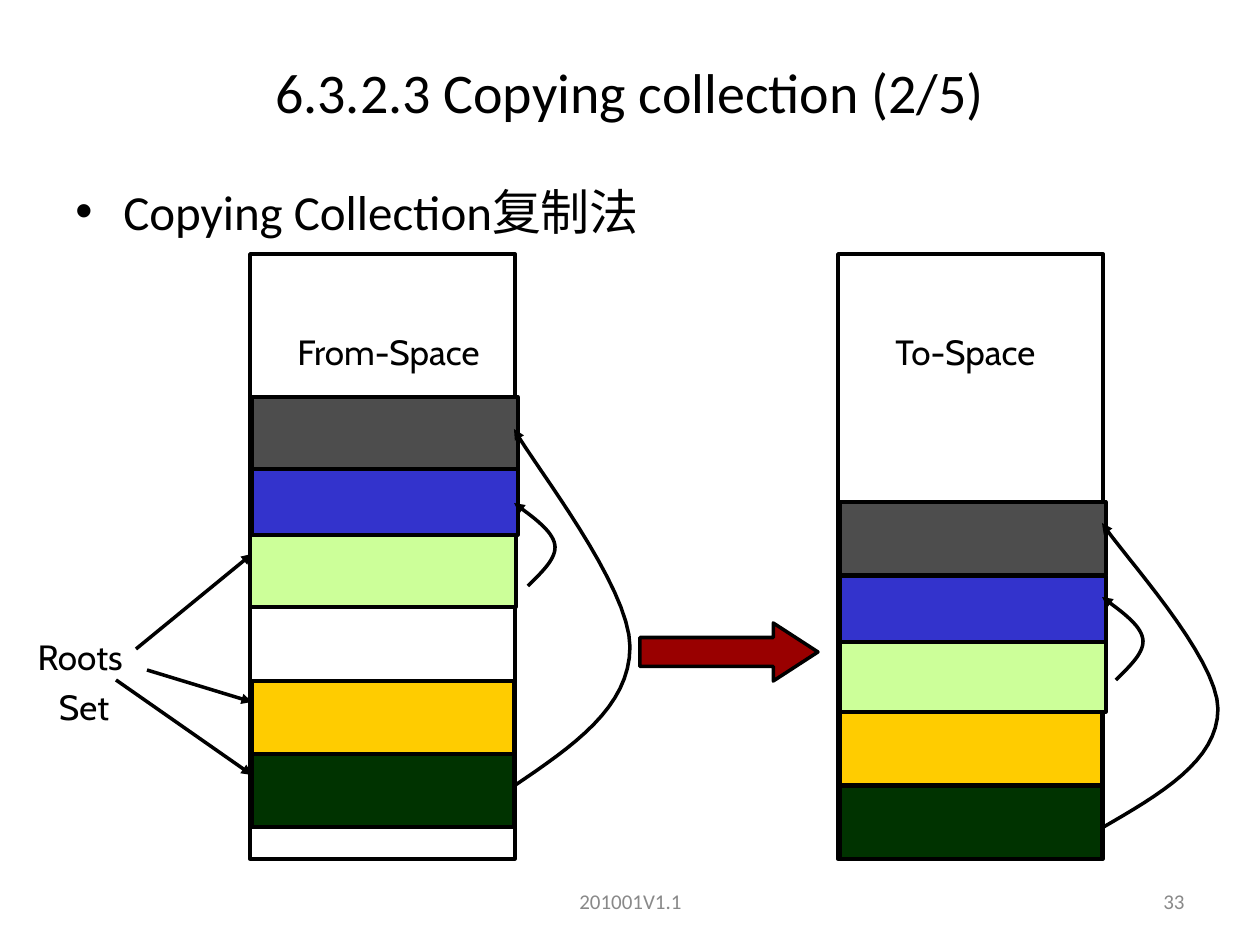
from itertools import pairwise

from lxml.etree import SubElement
from pptx import Presentation
from pptx.dml.color import RGBColor
from pptx.enum.shapes import MSO_CONNECTOR, MSO_SHAPE
from pptx.enum.text import MSO_ANCHOR, PP_ALIGN
from pptx.oxml.ns import qn
from pptx.util import Emu, Pt

EMU_PER_PIXEL = 914400 / 126
BLACK = RGBColor(0x00, 0x00, 0x00)
FOOTER_GRAY = RGBColor(0x89, 0x89, 0x89)
DARK_GREEN = RGBColor(0x00, 0x33, 0x00)
YELLOW = RGBColor(0xFF, 0xCC, 0x00)
LIGHT_GREEN = RGBColor(0xCC, 0xFF, 0x99)
BLUE = RGBColor(0x33, 0x33, 0xCC)
DARK_GRAY = RGBColor(0x4D, 0x4D, 0x4D)
DARK_RED = RGBColor(0x99, 0x00, 0x00)

LONG_CURVE = [(0, 1), (0.5, 0.89), (1, 0.78), (1, 0.61), (1, 0.44), (0.17, 0.1), (0, 0)]
SHORT_CURVE = [(0.33, 1), (0.67, 0.83), (1.03, 0.66), (0.97, 0.5), (0.91, 0.33), (0.45, 0.17), (0, 0)]


def pixels(value):
    """Turn pixels into EMU."""
    return Emu(round(value * EMU_PER_PIXEL))


def write_text(frame, text, *, size=20, font="Cabin", color=BLACK, align=PP_ALIGN.CENTER,
               anchor=MSO_ANCHOR.TOP, space_before=0):
    """Write text into a frame, one paragraph per line."""
    frame.word_wrap = True
    frame.vertical_anchor = anchor
    frame.text = text
    for paragraph in frame.paragraphs:
        paragraph.alignment = align
        paragraph.space_before = Pt(space_before)
        paragraph.font.size = Pt(size)
        paragraph.font.name = font
        paragraph.font.color.rgb = color


def bezier_point(controls, position):
    """Return the point at a position from 0 to 1 on a cubic curve."""
    rest = 1 - position
    weights = (rest**3, 3 * rest**2 * position, 3 * rest * position**2, position**3)
    return tuple(sum(weight * point[axis] for weight, point in zip(weights, controls)) for axis in (0, 1))


class Diagram:
    """Hold the line style and the current slide."""

    def __init__(self, slide, line_width=2):
        """Keep the slide and the line width in points."""
        self.slide = slide
        self.line_width = Pt(line_width)

    def title(self, text, left, top, width, height):
        """Place and fill the title placeholder."""
        shape = self.slide.shapes.title
        shape.left, shape.top, shape.width, shape.height = map(pixels, (left, top, width, height))
        write_text(shape.text_frame, text, size=32, font="Calibri", anchor=MSO_ANCHOR.MIDDLE)

    def text(self, text, left, top, width, height, **style):
        """Add a text box and return it."""
        shape = self.slide.shapes.add_textbox(*map(pixels, (left, top, width, height)))
        write_text(shape.text_frame, text, **style)
        return shape

    def bullet(self, text, left, top, width, height, indent=48):
        """Add a bulleted text box."""
        shape = self.text(text, left, top, width, height, size=28, font="Calibri",
                          align=PP_ALIGN.LEFT, space_before=7)
        for paragraph in shape.text_frame.paragraphs:
            properties = paragraph._p.get_or_add_pPr()
            properties.set("marL", str(pixels(indent)))
            properties.set("indent", str(-pixels(indent)))
            bullet_font = properties.makeelement(qn("a:buFont"), {"typeface": "Arial"})
            bullet_character = properties.makeelement(qn("a:buChar"), {"char": "•"})
            properties.find(qn("a:defRPr")).addprevious(bullet_font)
            bullet_font.addnext(bullet_character)

    def outline(self, shape):
        """Give a shape the black line."""
        shape.line.color.rgb = BLACK
        shape.line.width = self.line_width

    def arrowhead(self, shape):
        """Put a triangle at the end of a line."""
        SubElement(shape.line._get_or_add_ln(), qn("a:tailEnd"), type="triangle")

    def shape(self, left, top, width, height, fill=None, kind=MSO_SHAPE.RECTANGLE):
        """Add an outlined preset shape and return it."""
        shape = self.slide.shapes.add_shape(kind, *map(pixels, (left, top, width, height)))
        shape.shadow.inherit = False
        if fill is None:
            shape.fill.background()
        else:
            shape.fill.solid()
            shape.fill.fore_color.rgb = fill
        self.outline(shape)
        return shape

    def arrow(self, start, end):
        """Add a straight arrow."""
        connector = self.slide.shapes.add_connector(MSO_CONNECTOR.STRAIGHT, *map(pixels, (*start, *end)))
        self.outline(connector)
        self.arrowhead(connector)
        SubElement(connector._element.spPr, qn("a:effectLst"))

    def curve(self, left, top, width, height, controls, steps=16):
        """Add a curved arrow through two cubic pieces scaled to a box."""
        points = [controls[0]]
        for first, last in pairwise((0, 3, 6)):
            piece = controls[first:last + 1]
            points += [bezier_point(piece, step / steps) for step in range(1, steps + 1)]
        start, *others = [(pixels(left + x * width), pixels(top + y * height)) for x, y in points]
        builder = self.slide.shapes.build_freeform(*start)
        builder.add_line_segments(others, close=False)
        shape = builder.convert_to_shape()
        shape.shadow.inherit = False
        shape.fill.background()
        self.outline(shape)
        self.arrowhead(shape)


presentation = Presentation()
presentation.slide_width, presentation.slide_height = pixels(1260), pixels(945)
diagram = Diagram(presentation.slides.add_slide(presentation.slide_layouts[5]))

footer_style = dict(size=12, font="Calibri", color=FOOTER_GRAY, anchor=MSO_ANCHOR.MIDDLE)
diagram.text("201001V1.1", 431, 876, 399, 50, **footer_style)
diagram.text("33", 903, 876, 294, 50, align=PP_ALIGN.RIGHT, **footer_style)
diagram.title("6.3.2.3 Copying collection (2/5)", 0, 38, 1260, 107)
diagram.bullet("Copying Collection复制法", 63, 175, 1134, 669)

for space_left in (250, 838):
    diagram.shape(space_left, 254, 265, 605)

for label, left, top, width, height in [
    ("To-Space", 847, 324, 237, 55),
    ("From-Space", 242, 324, 293, 55),
    ("Roots \nSet", 0, 629, 168, 106),
]:
    diagram.text(label, left, top, width, height, space_before=5)

for start, end in [((136, 649), (252, 554)), ((147, 670), (252, 702)), ((116, 680), (252, 775))]:
    diagram.arrow(start, end)

for left, top, width, height, color in [
    (252, 754, 262, 73, DARK_GREEN),
    (252, 681, 262, 73, YELLOW),
    (250, 534, 266, 73, LIGHT_GREEN),
    (252, 397, 266, 73, DARK_GRAY),
    (252, 469, 266, 66, BLUE),
    (840, 786, 262, 73, DARK_GREEN),
    (840, 712, 262, 73, YELLOW),
    (840, 639, 266, 73, LIGHT_GREEN),
    (840, 576, 266, 66, BLUE),
    (840, 502, 266, 73, DARK_GRAY),
]:
    diagram.shape(left, top, width, height, color)

copy_arrow = diagram.shape(640, 623, 178, 58, DARK_RED, MSO_SHAPE.RIGHT_ARROW)
copy_arrow.adjustments[1] = 0.77

for left, long_top, long_height, short_top in [(514, 429, 357, 503), (1102, 523, 305, 597)]:
    diagram.curve(left, long_top, 116, long_height, LONG_CURVE)
    diagram.curve(left, short_top, 42, 83, SHORT_CURVE)

presentation.save("out.pptx")
